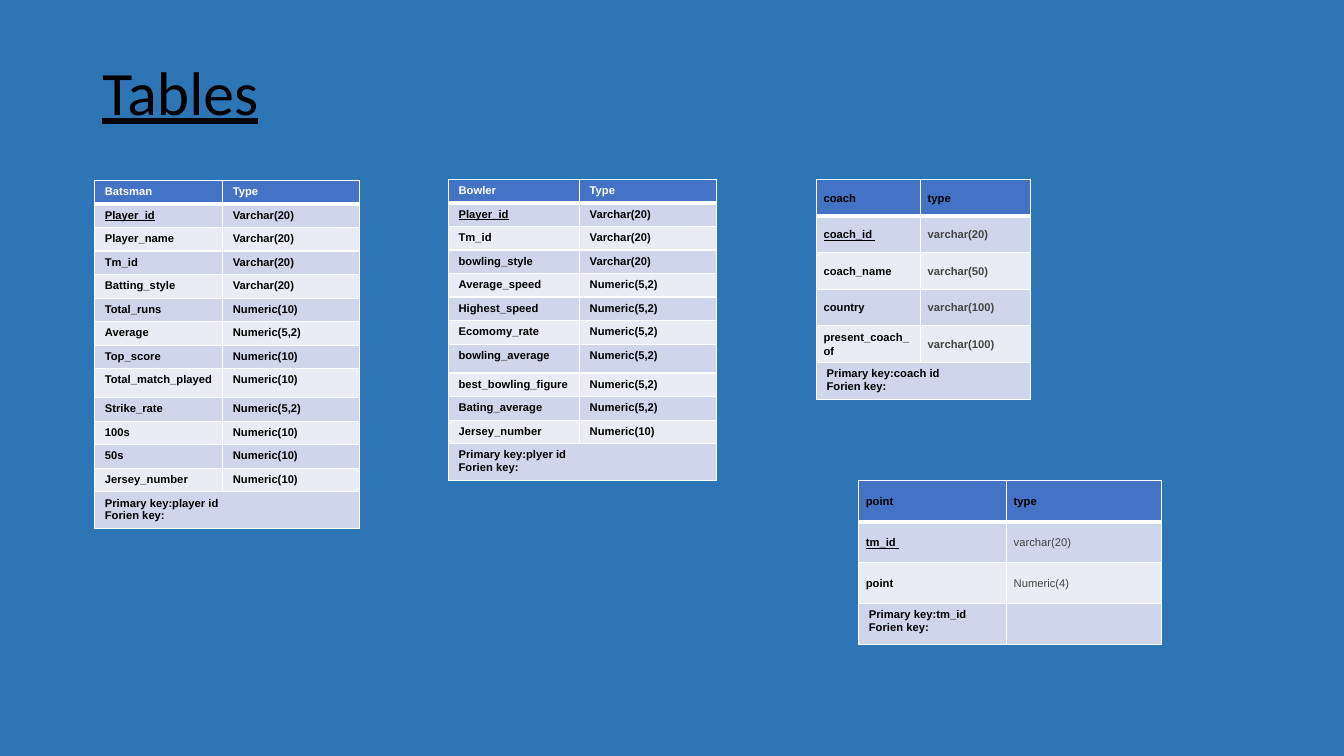
"""Build a slide that lists the schema tables of a cricket database."""
from dataclasses import dataclass

from lxml.etree import SubElement
from pptx import Presentation
from pptx.dml.color import RGBColor as RGB
from pptx.enum.text import MSO_ANCHOR as ANCHOR
from pptx.oxml.ns import qn
from pptx.util import Emu, Pt


@dataclass(frozen=True)
class Theme:
    background: str = "2E75B5"
    header: str = "4472C4"
    bands: tuple = ("CFD5EA", "E9EBF5")
    border: str = "FFFFFF"
    black: str = "000000"
    white: str = "FFFFFF"
    grey: str = "444444"
    title_font: str = "Calibri"
    table_font: str = "Arial"
    title_size: int = 44
    table_size: int = 8
    thin: int = 1
    thick: int = 3


theme = Theme()
EMU_PER_PX = 3048


def px(length):
    return Emu(length * EMU_PER_PX)


def add_borders(cell, top, bottom):
    properties = cell._tc.get_or_add_tcPr()
    sides = {"L": theme.thin, "R": theme.thin, "T": top, "B": bottom}
    for side, width in sides.items():
        line = SubElement(properties, qn(f"a:ln{side}"), w=str(Pt(width)))
        fill = SubElement(line, qn("a:solidFill"))
        SubElement(fill, qn("a:srgbClr"), val=theme.border)


batsman_rows = [
    ("Batsman", "Type"),
    ("Player_id", "Varchar(20)"),
    ("Player_name", "Varchar(20)"),
    ("Tm_id", "Varchar(20)"),
    ("Batting_style", "Varchar(20)"),
    ("Total_runs", "Numeric(10)"),
    ("Average", "Numeric(5,2)"),
    ("Top_score", "Numeric(10)"),
    ("Total_match_played", "Numeric(10)"),
    ("Strike_rate", "Numeric(5,2)"),
    ("100s", "Numeric(10)"),
    ("50s", "Numeric(10)"),
    ("Jersey_number", "Numeric(10)"),
    ("Primary key:player id\nForien key:", ""),
]
bowler_rows = [
    ("Bowler", "Type"),
    ("Player_id", "Varchar(20)"),
    ("Tm_id", "Varchar(20)"),
    ("bowling_style", "Varchar(20)"),
    ("Average_speed", "Numeric(5,2)"),
    ("Highest_speed", "Numeric(5,2)"),
    ("Ecomomy_rate", "Numeric(5,2)"),
    ("bowling_average", "Numeric(5,2)"),
    ("best_bowling_figure", "Numeric(5,2)"),
    ("Bating_average", "Numeric(5,2)"),
    ("Jersey_number", "Numeric(10)"),
    ("Primary key:plyer id\nForien key:", ""),
]
coach_rows = [
    ("coach", "type"),
    ("coach_id ", "varchar(20)"),
    ("coach_name", "varchar(50)"),
    ("country", "varchar(100)"),
    ("present_coach_of", "varchar(100)"),
    ("Primary key:coach id\nForien key:", ""),
]
point_rows = [
    ("point", "type"),
    ("tm_id ", "varchar(20)"),
    ("point", "Numeric(4)"),
    ("Primary key:tm_id\nForien key:", ""),
]

# left, top, column widths, row heights, roomy cells, bold types, merged footer, rows
schemas = [
    (282, 537, (381, 408), [70] * 8 + [86] + [70] * 4 + [110], False, True, True, batsman_rows),
    (1335, 534, (390, 408), [70] * 7 + [86] + [70] * 3 + [110], False, True, True, bowler_rows),
    (2430, 534, (310, 326), [109] * 6, True, True, True, coach_rows),
    (2556, 1431, (440, 462), [122] * 4, True, False, False, point_rows),
]

presentation = Presentation()
presentation.slide_width, presentation.slide_height = px(4000), px(2250)
slide = presentation.slides.add_slide(presentation.slide_layouts[6])
slide.background.fill.solid()
slide.background.fill.fore_color.rgb = RGB.from_string(theme.background)

title = slide.shapes.add_textbox(px(275), px(120), px(3450), px(327)).text_frame
title.word_wrap = True
title.vertical_anchor = ANCHOR.MIDDLE
title.text = "Tables"
paragraph = title.paragraphs[0]
paragraph.line_spacing = 0.9
paragraph.font.name = theme.title_font
paragraph.font.size = Pt(theme.title_size)
paragraph.font.underline = True
paragraph.font.color.rgb = RGB.from_string(theme.black)

for left, top, widths, heights, roomy, bold_types, merged, rows in schemas:
    table = slide.shapes.add_table(
        len(rows), 2, px(left), px(top), px(sum(widths)), px(sum(heights))
    ).table
    for column, width in zip(table.columns, widths):
        column.width = px(width)
    for row, height in zip(table.rows, heights):
        row.height = px(height)
    last = len(rows) - 1

    for row_index, texts in enumerate(rows):
        header = row_index == 0
        for column_index, text in enumerate(texts):
            cell = table.cell(row_index, column_index)
            add_borders(
                cell,
                theme.thick if row_index == 1 else theme.thin,
                theme.thick if header else theme.thin,
            )
            cell.fill.solid()
            fill = theme.header if header else theme.bands[(row_index - 1) % 2]
            cell.fill.fore_color.rgb = RGB.from_string(fill)
            cell.text = text

            spaced = roomy and row_index < last
            if spaced:
                cell.vertical_anchor = ANCHOR.MIDDLE
                cell.margin_left = cell.margin_right = px(15)
                cell.margin_top = cell.margin_bottom = px(6)

            is_type = column_index == 1 and not header
            color = theme.black
            if header and not roomy:
                color = theme.white
            elif is_type and roomy:
                color = theme.grey
            for paragraph in cell.text_frame.paragraphs:
                if spaced:
                    paragraph._p.get_or_add_pPr().set("marL", str(px(6)))
                    paragraph.line_spacing = 1.07
                    paragraph.space_before = paragraph.space_after = Pt(1.2)
                font = paragraph.font
                font.name = theme.table_font
                font.size = Pt(theme.table_size)
                font.bold = bold_types or not is_type
                font.underline = row_index == 1 and column_index == 0
                font.color.rgb = RGB.from_string(color)
    if merged:
        table.cell(last, 0).merge(table.cell(last, 1))

presentation.save("out.pptx")
